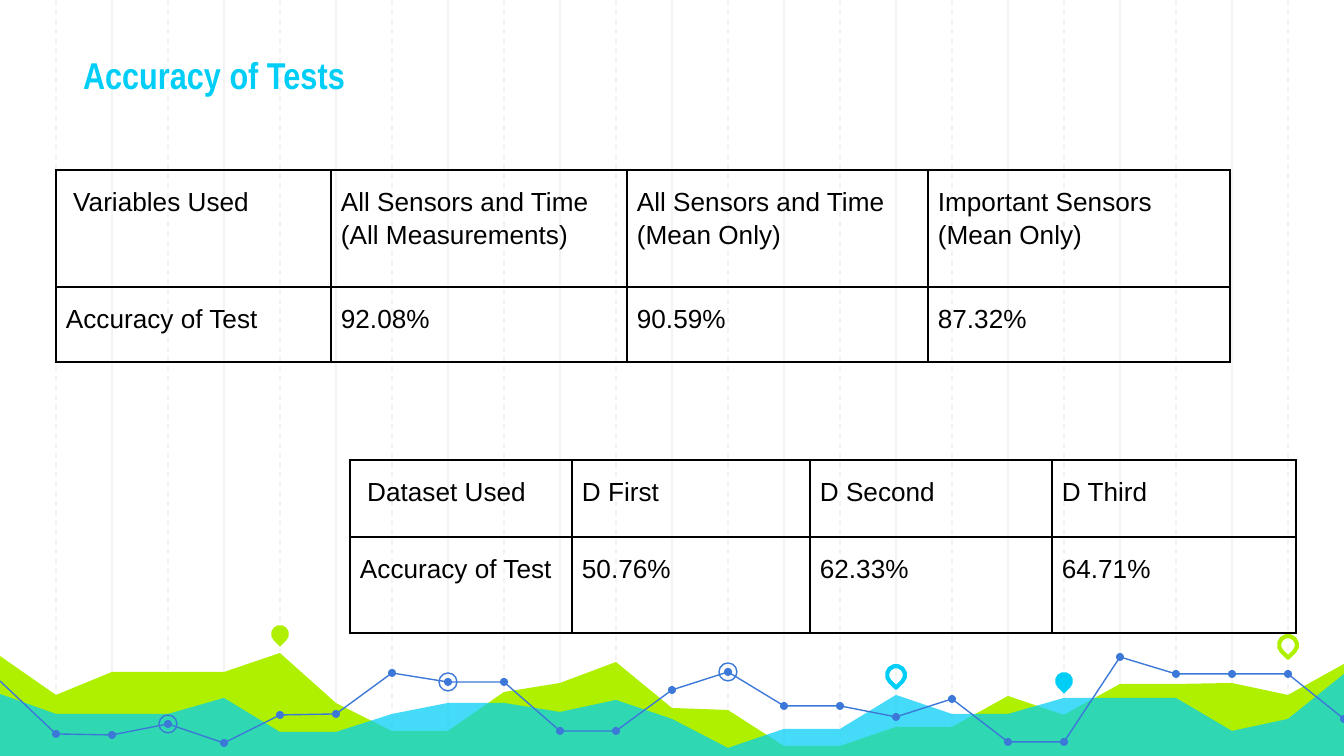
from lxml.etree import SubElement
from pptx import Presentation
from pptx.dml.color import RGBColor
from pptx.enum.dml import MSO_LINE
from pptx.enum.shapes import MSO_CONNECTOR, MSO_SHAPE
from pptx.enum.text import MSO_ANCHOR, MSO_AUTO_SIZE, PP_ALIGN
from pptx.oxml.ns import qn
from pptx.util import Emu, Pt

CYAN = RGBColor(0x00, 0xCE, 0xF6)
LIME = RGBColor(0xAF, 0xF0, 0x00)
BLUE = RGBColor(0x3C, 0x78, 0xD8)
PALE = RGBColor(0xF3, 0xF3, 0xF3)
BLACK = RGBColor(0, 0, 0)

SCALE = 914400 / 134.4
WIDTH, HEIGHT = 1344, 756
STEP = 56  # distance between grid lines

TITLE = "Accuracy of Tests"
TABLES = [
    {"left": 350, "top": 460, "columns": [222, 238, 242, 244], "rows": [77, 96],
     "cells": [[" Dataset Used", "D First", "D Second", "D Third"],
               ["Accuracy of Test", "50.76%", "62.33%", "64.71%"]]},
    {"left": 56, "top": 170, "columns": [275, 296, 301, 302], "rows": [117, 75],
     "cells": [[" Variables Used", "All Sensors and Time (All Measurements)",
                "All Sensors and Time (Mean Only)", "Important Sensors (Mean Only)"],
               ["Accuracy of Test", "92.08%", "90.59%", "87.32%"]]},
]

# Heights at each grid line, from the left edge to the right edge
LIME_AREA = [656, 695, 672, 672, 672, 653, 703, 731, 731, 692, 683, 662, 708,
             710, 746, 746, 727, 727, 696, 715, 684, 684, 683, 695, 664]
CYAN_AREA = [694, 714, 714, 714, 698, 732, 732, 714, 703, 703, 712, 700, 719,
             748, 729, 729, 695, 714, 714, 698, 698, 698, 731, 719, 674]
TREND = [681, 734, 735, 724, 743, 715, 714, 673, 682, 682, 731, 731, 690,
         672, 706, 706, 717, 699, 742, 742, 657, 674, 674, 674, 719]
TREND_PARTS = [(0, 11), (11, 20), (20, 24)]
RINGED = [3, 8, 13]
PINS = [(5, 634, LIME, True), (16, 675, CYAN, False),
        (19, 681, CYAN, True), (23, 645, LIME, False)]


def px(value):
    """Turn pixels into EMU."""
    return Emu(round(value * SCALE))


def paint(shape, fill=None, line=None, weight=0.75):
    """Set fill and line, leaving out whichever is None."""
    shape.shadow.inherit = False
    if fill is None:
        shape.fill.background()
    else:
        shape.fill.solid()
        shape.fill.fore_color.rgb = fill
    if line is None:
        shape.line.fill.background()
    else:
        shape.line.color.rgb = line
        shape.line.width = Pt(weight)


def add_grid(page):
    """Draw vertical lines, dashed at odd positions."""
    for column in range(1, WIDTH // STEP):
        x = px(column * STEP)
        rule = page.shapes.add_connector(MSO_CONNECTOR.STRAIGHT, x, 0, x, px(HEIGHT))
        rule.line.color.rgb = PALE
        rule.line.width = Pt(0.75)
        if column % 2:
            rule.line.dash_style = MSO_LINE.DASH
        SubElement(rule.element.spPr, qn("a:effectLst"))


def add_outline(page, points, close):
    """Build a freeform through pixel points."""
    builder = page.shapes.build_freeform(*points[0], scale=SCALE)
    builder.add_line_segments(points[1:], close=close)
    return builder.convert_to_shape()


def add_area(page, heights, color, opacity=100):
    """Fill the area from the heights down to the slide's foot."""
    points = [(column * STEP, y) for column, y in enumerate(heights)]
    area = add_outline(page, points + [(WIDTH, HEIGHT), (0, HEIGHT)], True)
    paint(area, fill=color)
    if opacity < 100:
        tint = area.element.spPr.find(qn("a:solidFill"))[0]
        SubElement(tint, qn("a:alpha")).set("val", str(opacity * 1000))


def add_mark(page, kind, column, y, size):
    """Add a shape centred on a grid line."""
    return page.shapes.add_shape(kind, px(column * STEP - size / 2), px(y - size / 2),
                                 px(size), px(size))


def add_pins(page):
    """Add the drop-shaped pins, filled or hollow."""
    for column, y, color, filled in PINS:
        pin = add_mark(page, MSO_SHAPE.TEAR, column, y, 18)
        pin.rotation = 135
        if filled:
            paint(pin, fill=color)
        else:
            paint(pin, line=color, weight=2.25)


def add_trend(page):
    """Add the blue line with its dots and rings."""
    for first, last in TREND_PARTS:
        points = [(column * STEP, TREND[column]) for column in range(first, last + 1)]
        paint(add_outline(page, points, False), line=BLUE)
    for column, y in enumerate(TREND[1:], 1):
        paint(add_mark(page, MSO_SHAPE.OVAL, column, y, 8), fill=BLUE)
    for column in RINGED:
        paint(add_mark(page, MSO_SHAPE.OVAL, column, TREND[column], 18), line=BLUE)


def add_span(para, text, font, size, color, bold=False):
    """Add one formatted run."""
    span = para.add_run()
    span.text = text
    span.font.name = font
    span.font.size = Pt(size)
    span.font.bold = bold
    span.font.color.rgb = color


def add_title(page):
    """Place and format the title above the background."""
    box = page.shapes.title
    box.element.getparent().append(box.element)
    box.left, box.top, box.width, box.height = px(70), px(16), px(1212), px(94)
    frame = box.text_frame
    frame.auto_size = MSO_AUTO_SIZE.NONE
    frame.word_wrap = True
    frame.vertical_anchor = MSO_ANCHOR.BOTTOM
    frame.margin_left = frame.margin_right = px(13)
    frame.margin_top = frame.margin_bottom = px(13)
    para = frame.paragraphs[0]
    para.alignment = PP_ALIGN.LEFT
    add_span(para, TITLE, "Arial Narrow", 20, CYAN, True)


def add_borders(cell):
    """Give a cell thin black borders, placed before its fill."""
    properties = cell._tc.get_or_add_tcPr()
    for position, side in enumerate(("lnL", "lnR", "lnT", "lnB")):
        edge = SubElement(properties, qn("a:" + side), w=str(Pt(1)))
        fill = SubElement(edge, qn("a:solidFill"))
        SubElement(fill, qn("a:srgbClr"), val=str(BLACK))
        properties.insert(position, edge)


def add_data_table(page, data):
    """Add a bordered table without fill."""
    columns, rows = data["columns"], data["rows"]
    table = page.shapes.add_table(len(rows), len(columns), px(data["left"]), px(data["top"]),
                                  px(sum(columns)), px(sum(rows))).table
    table.first_row = table.horz_banding = False
    for column, width in zip(table.columns, columns):
        column.width = px(width)
    for row, height, texts in zip(table.rows, rows, data["cells"]):
        row.height = px(height)
        for cell, text in zip(row.cells, texts):
            cell.fill.background()
            cell.margin_left = cell.margin_right = px(10)
            cell.margin_top = cell.margin_bottom = px(13)
            para = cell.text_frame.paragraphs[0]
            para.line_spacing = 1.15
            para.space_before = Pt(12)
            add_span(para, text, "Arial", 14, BLACK)
            add_borders(cell)


deck = Presentation()
deck.slide_width, deck.slide_height = px(WIDTH), px(HEIGHT)
page = deck.slides.add_slide(deck.slide_layouts[5])
add_grid(page)
add_area(page, LIME_AREA, LIME)
add_area(page, CYAN_AREA, CYAN, 73)
add_pins(page)
add_trend(page)
add_title(page)
for data in TABLES:
    add_data_table(page, data)
deck.save("out.pptx")
